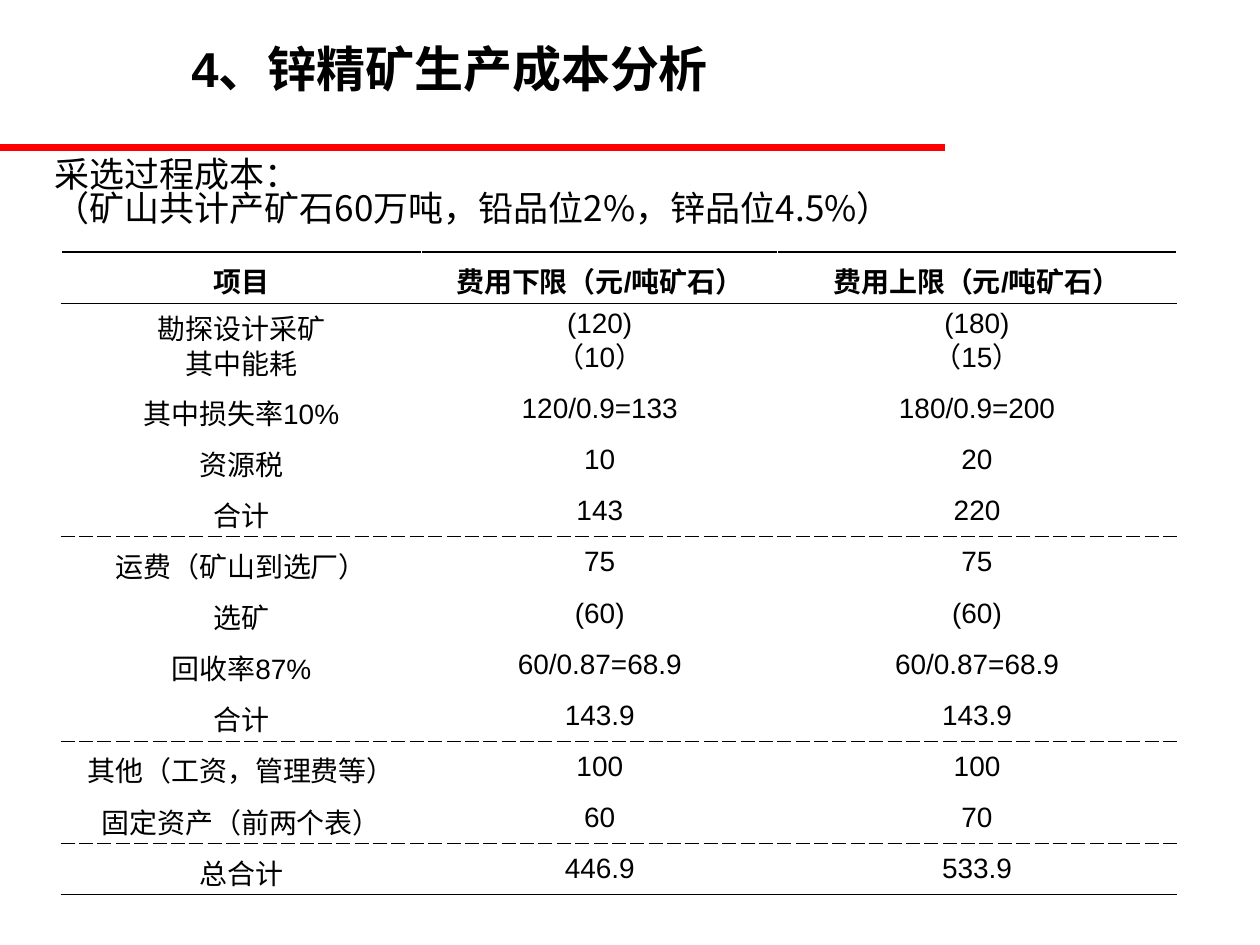
"""Build the slide on the production cost of zinc concentrate."""
from lxml import etree
from pptx import Presentation
from pptx import util as u
from pptx.dml.color import RGBColor
from pptx.enum import shapes, text
from pptx.oxml import ns

BLACK = RGBColor(0x00, 0x00, 0x00)
WHITE = RGBColor(0xFF, 0xFF, 0xFF)
RED = RGBColor(0xFF, 0x00, 0x00)
LATIN, CJK = "Arial", "Noto Sans CJK SC"


def write(frame, lines, size, font, bold=False, align=text.PP_ALIGN.CENTER, spacing=None):
    frame.word_wrap = True
    for index, line in enumerate(lines):
        paragraph = frame.paragraphs[0] if index == 0 else frame.add_paragraph()
        paragraph.alignment = align
        paragraph.line_spacing = spacing
        run = paragraph.add_run()
        run.text = line
        run.font.size = u.Pt(size)
        run.font.name = font
        run.font.bold = bold
        run.font.color.rgb = BLACK


def add_border(cell, side, color, width, dash="solid"):
    border = etree.SubElement(cell._tc.get_or_add_tcPr(), ns.qn(f"a:{side}"), w=str(u.Pt(width)))
    fill = etree.SubElement(border, ns.qn("a:solidFill"))
    etree.SubElement(fill, ns.qn("a:srgbClr"), val=str(color))
    etree.SubElement(border, ns.qn("a:prstDash"), val=dash)


deck = Presentation()
deck.slide_width, deck.slide_height = u.Cm(25.4), u.Cm(19.05)
slide = deck.slides.add_slide(deck.slide_layouts[6])

red_rule = slide.shapes.add_connector(
    shapes.MSO_CONNECTOR.STRAIGHT, u.Cm(0), u.Cm(2.97), u.Cm(19.05), u.Cm(2.97))
red_rule.line.color.rgb = RED
red_rule.line.width = u.Pt(3.75)
etree.SubElement(red_rule._element.spPr, ns.qn("a:effectLst"))

heading = slide.shapes.add_textbox(u.Cm(0.48), u.Cm(0.64), u.Cm(17.17), u.Cm(1.45))
heading.text_frame.vertical_anchor = text.MSO_ANCHOR.MIDDLE
write(heading.text_frame, ["4、锌精矿生产成本分析"], 28, LATIN, bold=True)

premise = slide.shapes.add_textbox(u.Cm(0.84), u.Cm(3.1), u.Cm(22.83), u.Cm(1.96))
write(premise.text_frame,
      ["采选过程成本：", "（矿山共计产矿石60万吨，铅品位2%，锌品位4.5%）"],
      20, CJK, align=text.PP_ALIGN.LEFT, spacing=0.82)

COSTS = [
    ("项目", "费用下限（元/吨矿石）", "费用上限（元/吨矿石）"),
    ("勘探设计采矿\n其中能耗", "(120)\n（10）", "(180)\n（15）"),
    ("其中损失率10%", "120/0.9=133", "180/0.9=200"),
    ("资源税", "10", "20"),
    ("合计", "143", "220"),
    ("运费（矿山到选厂）", "75", "75"),
    ("选矿", "(60)", "(60)"),
    ("回收率87%", "60/0.87=68.9", "60/0.87=68.9"),
    ("合计", "143.9", "143.9"),
    ("其他（工资，管理费等）", "100", "100"),
    ("固定资产（前两个表）", "60", "70"),
    ("总合计", "446.9", "533.9"),
]
COLUMN_WIDTHS = [7.27, 7.18, 8.03]
ROW_HEIGHT, MINING_HEIGHT = 1.03, 1.62
NO_RULE = (WHITE, 0.45)
OUTER_RULE = (BLACK, 1.08)
SUBTOTAL_RULE = (BLACK, 0.45, "dash")
RULES = {0: OUTER_RULE, 1: (BLACK, 0.45), 5: SUBTOTAL_RULE, 9: SUBTOTAL_RULE,
         11: SUBTOTAL_RULE, len(COSTS): OUTER_RULE}

costs = slide.shapes.add_table(
    len(COSTS), len(COLUMN_WIDTHS), u.Cm(1.23), u.Cm(5.08), u.Cm(sum(COLUMN_WIDTHS)),
    u.Cm(ROW_HEIGHT * (len(COSTS) - 1) + MINING_HEIGHT)).table
costs.first_row = costs.horz_banding = False
for column, width in zip(costs.columns, COLUMN_WIDTHS):
    column.width = u.Cm(width)

for row, entries in enumerate(COSTS):
    two_lines = "\n" in entries[0]
    costs.rows[row].height = u.Cm(MINING_HEIGHT if two_lines else ROW_HEIGHT)
    for col, entry in enumerate(entries):
        cell = costs.cell(row, col)
        cell.vertical_anchor = text.MSO_ANCHOR.MIDDLE
        if row == 0 or col == 0:
            cell.margin_bottom = u.Cm(0)
        add_border(cell, "lnL", *NO_RULE)
        add_border(cell, "lnR", *NO_RULE)
        add_border(cell, "lnT", *RULES.get(row, NO_RULE))
        add_border(cell, "lnB", *RULES.get(row + 1, NO_RULE))
        cell.fill.solid()
        cell.fill.fore_color.rgb = WHITE
        write(cell.text_frame, entry.split("\n"), 16, LATIN, bold=row == 0,
              spacing=0.87 if two_lines else None)

deck.save("out.pptx")
